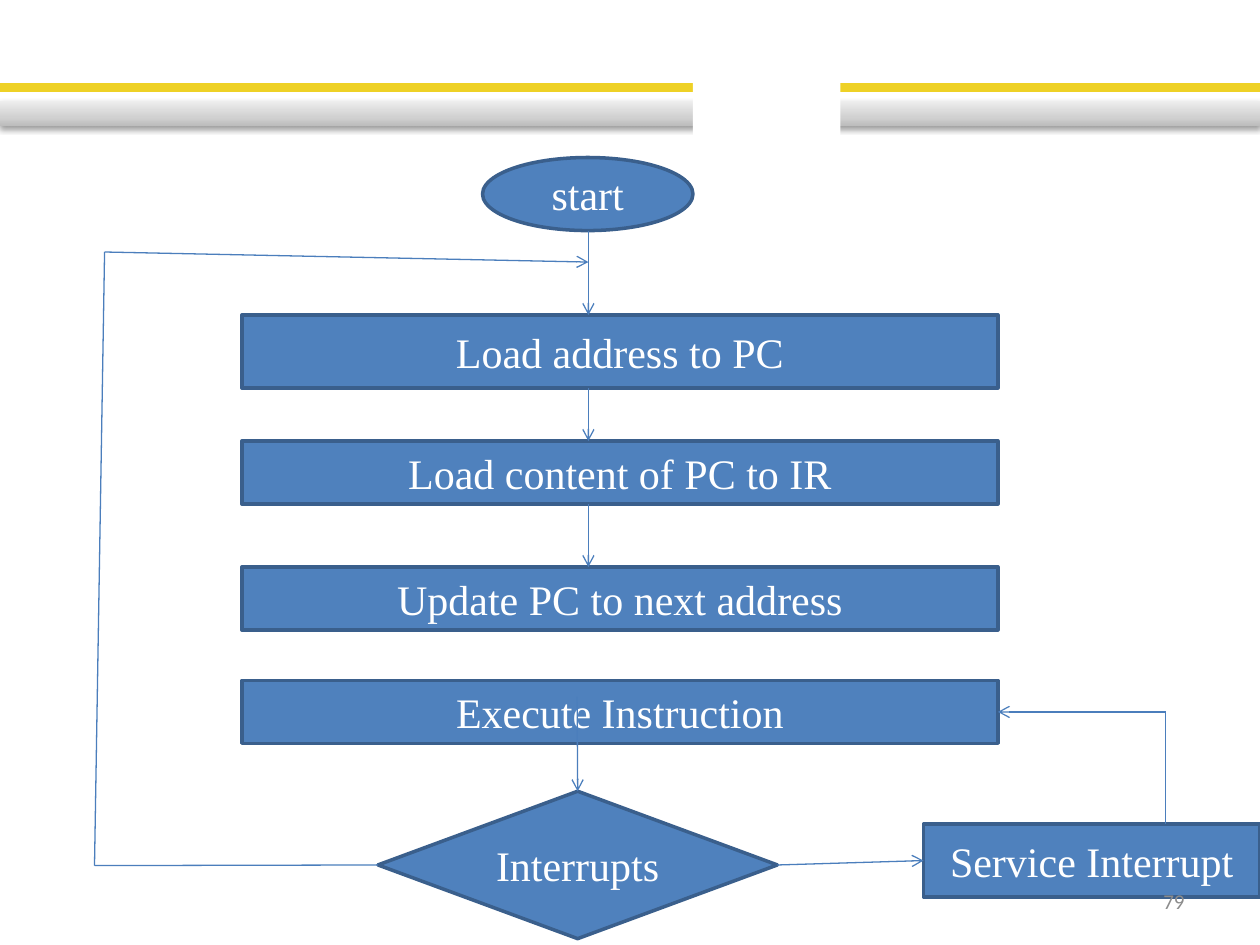
from dataclasses import dataclass
from typing import Optional

from lxml.etree import SubElement
from pptx import Presentation
from pptx.dml.color import RGBColor
from pptx.enum.shapes import MSO_CONNECTOR, MSO_SHAPE
from pptx.enum.text import MSO_ANCHOR, PP_ALIGN
from pptx.oxml import parse_xml
from pptx.oxml.ns import nsdecls, qn
from pptx.util import Pt

PX = 9144


@dataclass(frozen=True)
class Theme:
    yellow: str = "EED126"
    white: str = "FFFFFF"
    box: str = "4F81BD"
    edge: str = "3A5F8C"
    arrow: str = "4B7EBC"
    muted: str = "8C8C8C"
    shadow: str = "000000"
    silver: tuple[tuple[int, str], ...] = ((0, "BDBDBD"), (35, "D1D1D1"), (100, "EEEEEE"))
    body_font: str = "Times New Roman"
    number_font: str = "Calibri"
    body_size: int = 24
    number_size: int = 12
    edge_width: float = 2
    arrow_width: float = 0.75


@dataclass(frozen=True)
class Box:
    left: int
    top: int
    width: int
    height: int
    text: str = ""
    kind: MSO_SHAPE = MSO_SHAPE.RECTANGLE


@dataclass(frozen=True)
class Join:
    name: str
    site: int


@dataclass(frozen=True)
class Route:
    points: tuple[tuple[int, int], ...]
    begin: Optional[Join] = None
    end: Optional[Join] = None
    arrow: bool = True


THEME = Theme()
STEP_LEFT, STEP_WIDTH, FLOW_X = 192, 600, 467

BOXES = {
    "start": Box(383, 125, 167, 58, "start", MSO_SHAPE.OVAL),
    "load": Box(STEP_LEFT, 250, STEP_WIDTH, 58, "Load address to PC"),
    "fetch": Box(STEP_LEFT, 350, STEP_WIDTH, 50, "Load content of PC to IR"),
    "update": Box(STEP_LEFT, 450, STEP_WIDTH, 50, "Update PC to next address"),
    "execute": Box(STEP_LEFT, 540, STEP_WIDTH, 50, "Execute Instruction"),
    "check": Box(300, 628, 317, 117, "Interrupts", MSO_SHAPE.FLOWCHART_DECISION),
    "service": Box(733, 654, 267, 58, "Service Interrupt"),
}

ROUTES = [
    Route(((FLOW_X, 183), (FLOW_X, 250))),
    Route(((FLOW_X, 308), (FLOW_X, 350))),
    Route(((FLOW_X, 400), (FLOW_X, 450))),
    Route(((458, 553), (458, 628)), end=Join("check", 0)),
    Route(((617, 687), (733, 683)), Join("check", 3), Join("service", 1)),
    Route(((300, 687), (75, 687), (83, 200), (FLOW_X, 208)), begin=Join("check", 1)),
    Route(((925, 654), (925, 565), (792, 565)), end=Join("execute", 3)),
]


def rgb(value: str) -> RGBColor:
    return RGBColor.from_string(value)


def add_box(shapes, box: Box, fill: str, line: Optional[str] = None):
    sp = shapes.add_shape(box.kind, *(v * PX for v in (box.left, box.top, box.width, box.height)))
    sp.shadow.inherit = False
    sp.fill.solid()
    sp.fill.fore_color.rgb = rgb(fill)
    if line:
        sp.line.color.rgb = rgb(line)
        sp.line.width = Pt(THEME.edge_width)
    else:
        sp.line.fill.background()
    return sp


def write_text(sp, text: str, *, font: str = THEME.body_font, size: int = THEME.body_size,
               color: str = THEME.white, align: PP_ALIGN = PP_ALIGN.CENTER) -> None:
    tf = sp.text_frame
    tf.word_wrap = True
    tf.vertical_anchor = MSO_ANCHOR.MIDDLE
    p = tf.paragraphs[0]
    p.alignment = align
    r = p.add_run()
    r.text = text
    r.font.name = font
    r.font.size = Pt(size)
    r.font.color.rgb = rgb(color)


def style_silver_band(sp) -> None:
    stops = "".join(f'<a:gs pos="{pos * 1000}"><a:srgbClr val="{color}"/></a:gs>'
                    for pos, color in THEME.silver)
    grad = parse_xml(f'<a:gradFill {nsdecls("a")} rotWithShape="1"><a:gsLst>{stops}</a:gsLst>'
                     '<a:lin ang="16200000" scaled="0"/></a:gradFill>')
    sp_pr = sp._element.spPr
    sp_pr.replace(sp_pr.find(qn("a:solidFill")), grad)
    shadow = parse_xml(
        f'<a:outerShdw {nsdecls("a")} blurRad="{Pt(3.1)}" dist="{Pt(1.6)}" dir="5400000" '
        f'rotWithShape="0"><a:srgbClr val="{THEME.shadow}"><a:alpha val="38000"/></a:srgbClr>'
        '</a:outerShdw>')
    sp_pr.find(qn("a:effectLst")).append(shadow)


def draw_header(shapes) -> None:
    add_box(shapes, Box(0, 67, 1000, 5), THEME.yellow, THEME.yellow)
    style_silver_band(add_box(shapes, Box(0, 80, 1000, 20), THEME.white))
    add_box(shapes, Box(550, 50, 117, 67, kind=MSO_SHAPE.ROUNDED_RECTANGLE), THEME.white)


def draw_route(shapes, route: Route, nodes: dict) -> None:
    last = len(route.points) - 2
    for i, (start, end) in enumerate(zip(route.points, route.points[1:])):
        cxn = shapes.add_connector(MSO_CONNECTOR.STRAIGHT, *(v * PX for v in start + end))
        cxn.line.color.rgb = rgb(THEME.arrow)
        cxn.line.width = Pt(THEME.arrow_width)
        if i == 0 and route.begin:
            cxn.begin_connect(nodes[route.begin.name], route.begin.site)
        if i == last and route.end:
            cxn.end_connect(nodes[route.end.name], route.end.site)
        if i == last and route.arrow:
            SubElement(cxn.line._get_or_add_ln(), qn("a:tailEnd"), type="arrow")
        SubElement(cxn._element.spPr, qn("a:effectLst"))


def main() -> None:
    prs = Presentation()
    prs.slide_width, prs.slide_height = 1000 * PX, 750 * PX
    shapes = prs.slides.add_slide(prs.slide_layouts[6]).shapes

    draw_header(shapes)
    nodes = {}
    for name, box in BOXES.items():
        nodes[name] = add_box(shapes, box, THEME.box, THEME.edge)
        write_text(nodes[name], box.text)
    for route in ROUTES:
        draw_route(shapes, route, nodes)

    number = shapes.add_textbox(*(v * PX for v in (717, 695, 233, 40)))
    write_text(number, "79", font=THEME.number_font, size=THEME.number_size,
               color=THEME.muted, align=PP_ALIGN.RIGHT)
    prs.save("out.pptx")


if __name__ == "__main__":
    main()
